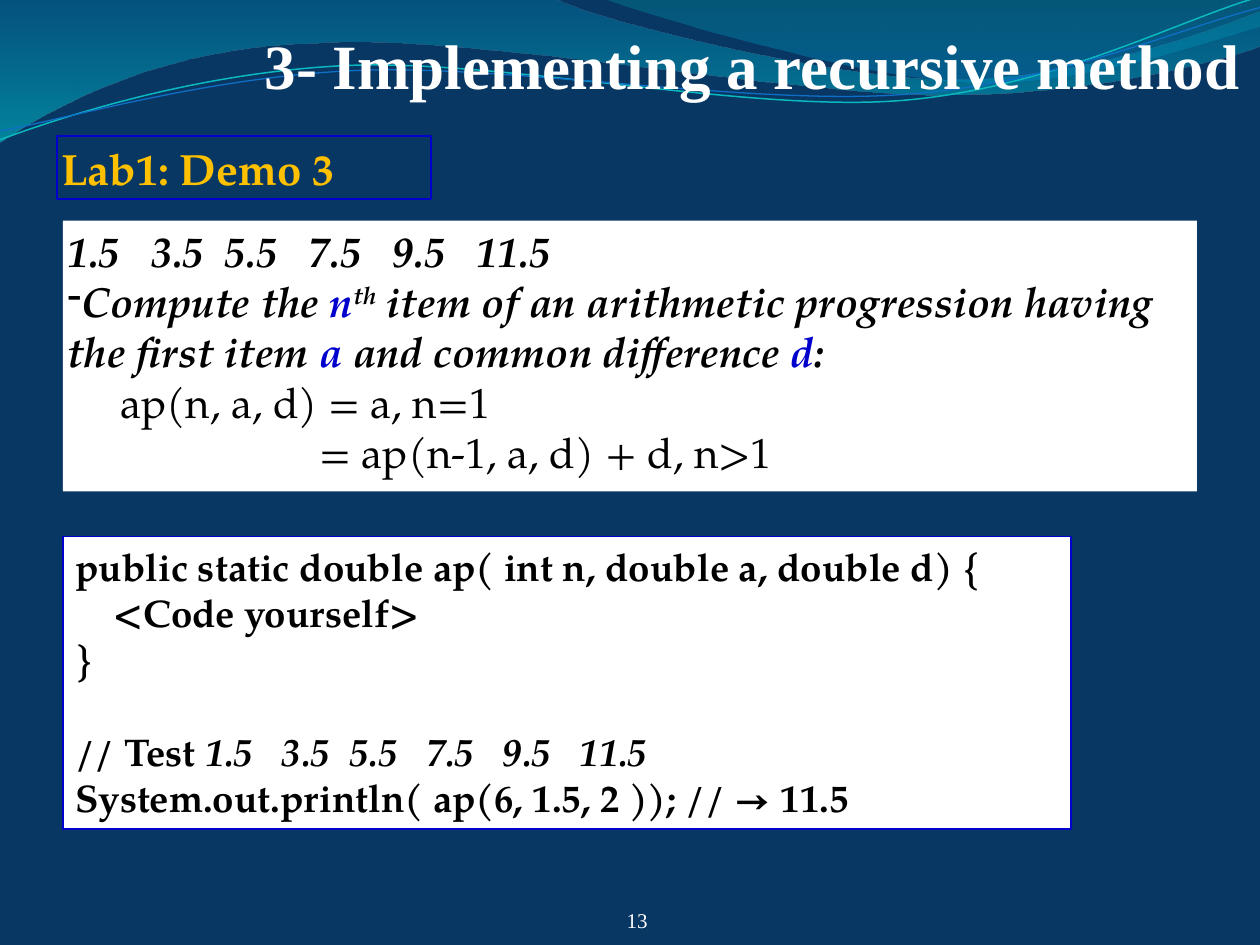
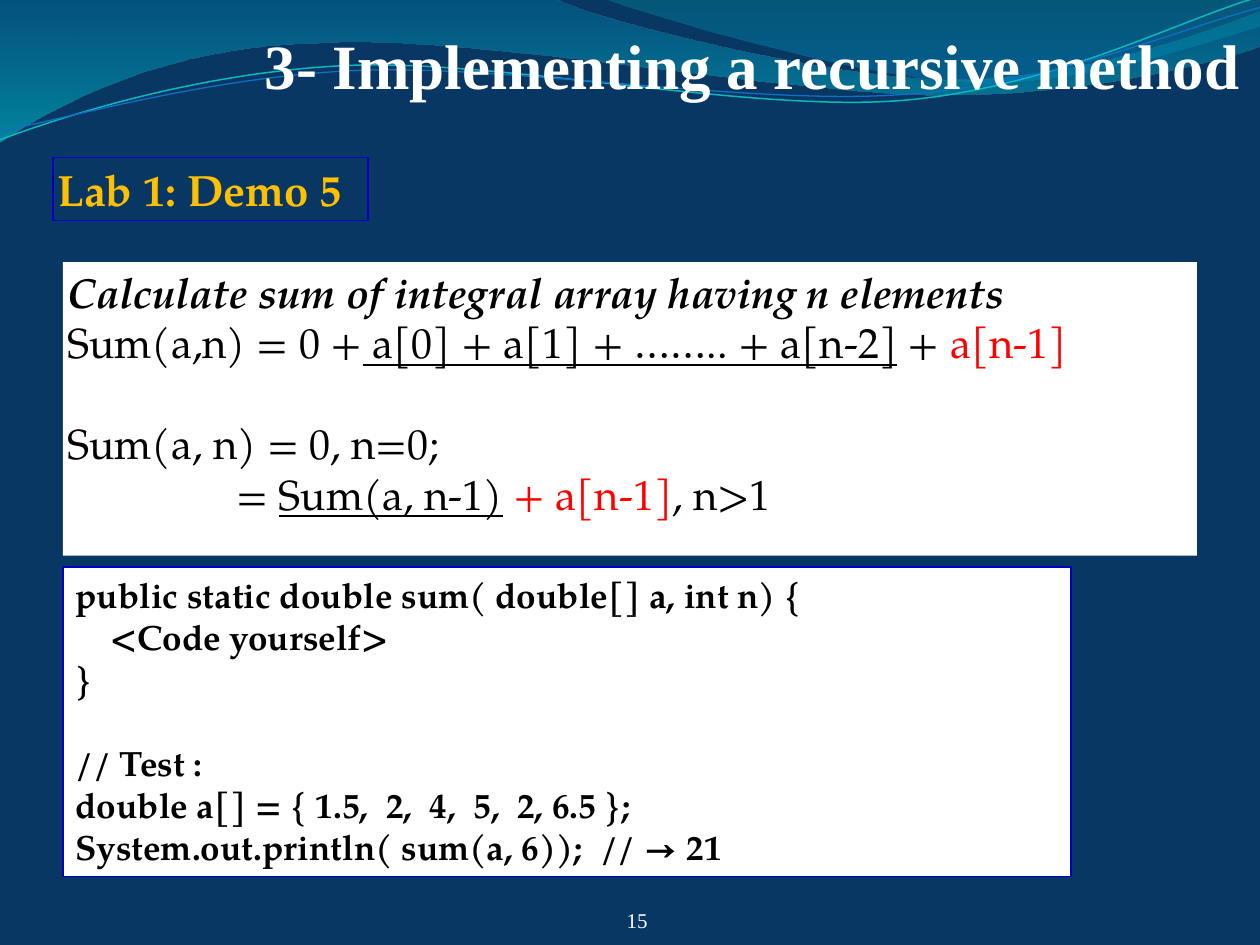
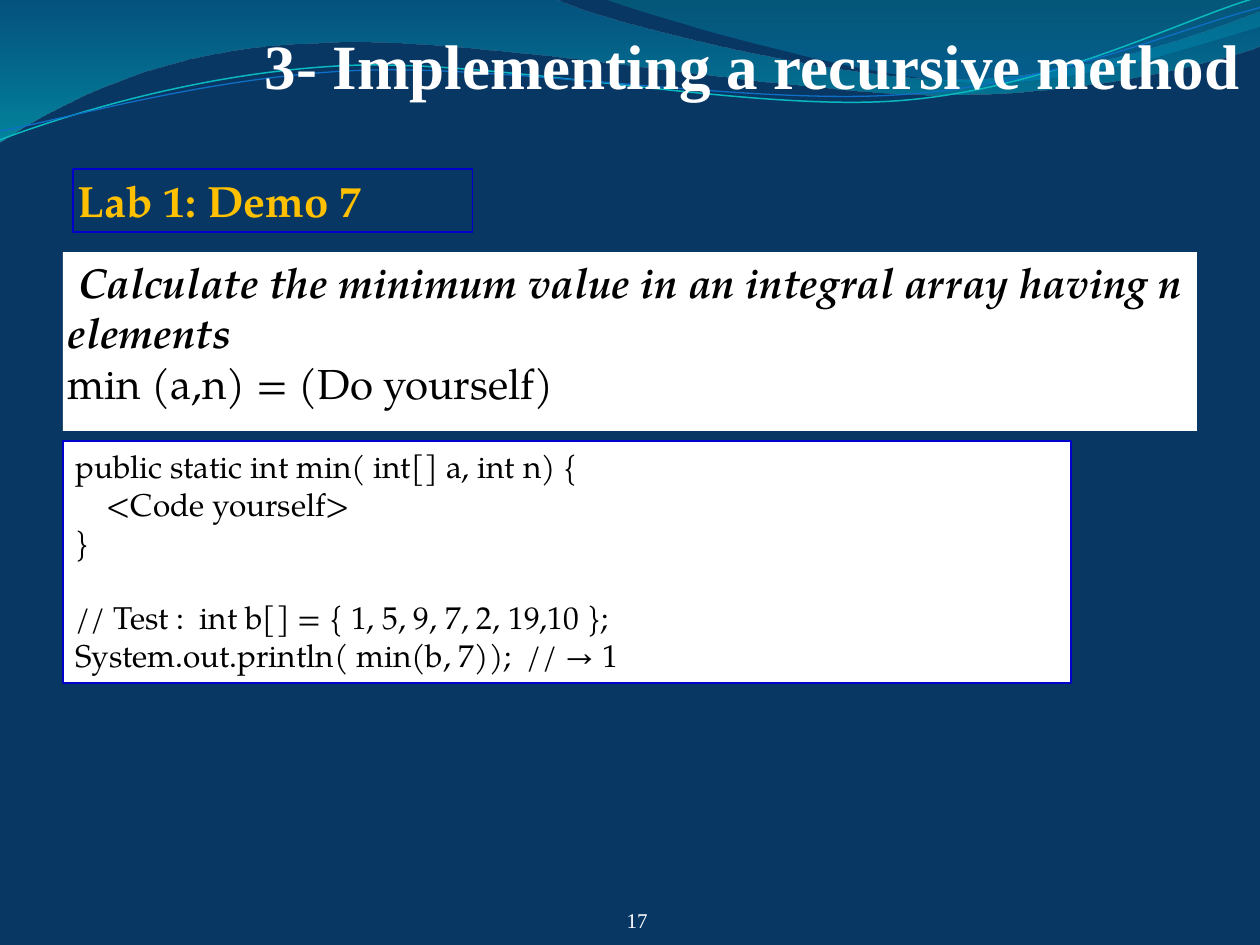
from dataclasses import dataclass
from typing import Any

import pptx
import pptx.dml.color
import pptx.enum.dml
import pptx.enum.shapes
import pptx.enum.text
import pptx.oxml
import pptx.oxml.ns
import pptx.util

# The page is a grid of 100 columns by 75 rows; one cell is a tenth of an inch.
COLUMNS, ROWS = 100, 75
CELL = pptx.util.Inches(0.1)

NAVY, WHITE, BLACK = "083763", "FFFFFF", "000000"
BLUE, GOLD, RED = "0000CC", "FFC000", "FF0000"
BODY_FONT, TITLE_FONT = "TeX Gyre Pagella", "Times New Roman"
TITLE = "3- Implementing a recursive method"
LINE_HEIGHT = 1.2

ALIGN = pptx.enum.text.PP_ALIGN
ANCHOR = pptx.enum.text.MSO_ANCHOR
Point = tuple[float, float]


@dataclass(frozen=True)
class Frame:
    """A place on the grid, in columns and rows."""
    left: float
    top: float
    width: float
    height: float


@dataclass(frozen=True)
class Span:
    """Text of one look; spread is extra room after each letter, in points."""
    text: str
    color: str = ""
    italic: bool = False
    underline: bool = False
    raised: bool = False
    spread: int = 0


@dataclass(frozen=True)
class Line:
    """One paragraph; indents are in columns, gap is in lines."""
    spans: tuple[Span, ...]
    bold: bool = False
    italic: bool = False
    indent: float = 0
    first_indent: float = 0
    gap: float = 0
    bullet: str = ""


@dataclass(frozen=True)
class Style:
    size: float
    color: str
    font: str = BODY_FONT
    fill: str = ""
    border: str = ""
    border_width: float = 0.75
    insets: tuple[float, float, float, float] = (0.36, 0.36, 0.36, 0.36)
    anchor: Any = ANCHOR.TOP
    align: Any = ALIGN.LEFT


@dataclass(frozen=True)
class Band:
    """A filled wave: straight edges and curves, each curve given by three points."""
    start: Point
    pieces: tuple[tuple[Point, ...], ...]
    stops: tuple[tuple[float, str, int], ...]


@dataclass(frozen=True)
class Strand:
    """A thin wavy line."""
    start: Point
    pieces: tuple[tuple[Point, ...], ...]
    color: str
    width: float


@dataclass(frozen=True)
class Demo:
    number: int
    label: str
    label_frame: Frame
    task: tuple[Line, ...]
    task_frame: Frame
    code: tuple[Line, ...]
    code_frame: Frame
    code_size: int


BANDS = (
    Band((0, 0), (
        ((44, -0.1),),
        ((47.6, 1.7), (66.4, 6.3), (75.8, 6.3)),
        ((85.3, 6.3), (95.8, 2.6), (100, 0.9)),
        ((100.1, 3.6),),
        ((98.3, 4.4), (87, 7.6), (74.6, 7.5)),
        ((62.2, 7.5), (38.2, 2.8), (25.7, 3.4)),
        ((12.9, 3.6), (4.6, 8.3), (-0.1, 11.3)),
    ), ((0, "0074A1", 45), (1, "00C6CF", 55))),
    Band((47.9, -0.1), (
        ((50.9, 1.1), (68.2, 6.2), (76.9, 6.5)),
        ((85.6, 6.9), (96.1, 3.2), (100, 2.1)),
        ((100, 0),),
    ), ((0, "00A1A9", 30), (0.8, "008BBF", 45))),
)
STRANDS = (
    Strand((0, 11.1), (
        ((4.8, 9.3), (15.8, 5.7), (27.7, 5.2)),
        ((39.5, 4.7), (59.3, 8.9), (71.3, 8)),
        ((83.3, 7.1), (93.8, 1.5), (99.8, -0.2)),
    ), "0AB8BF", 0.85),
    Strand((0, 10.4), (
        ((4.7, 9.6), (16.4, 6.1), (28.3, 5.6)),
        ((40.3, 5.1), (59.7, 8.4), (71.7, 7.5)),
        ((83.6, 6.7), (94.1, 2.1), (100, 0.6)),
    ), "0F6FC6", 0.75),
)

TITLE_FRAME = Frame(5, 0.8, 93.4, 7.3)
NUMBER_FRAME = Frame(48.6, 71.1, 2.8, 2.9)
TITLE_STYLE = Style(36, WHITE, TITLE_FONT, insets=(0, 0.4, 0, 0),
                    anchor=ANCHOR.BOTTOM, align=ALIGN.RIGHT)
NUMBER_STYLE = Style(12, WHITE, TITLE_FONT, insets=(0, 0, 0, 0),
                     anchor=ANCHOR.BOTTOM, align=ALIGN.RIGHT)
LABEL_STYLE = Style(25, GOLD, border=BLUE, border_width=1, anchor=ANCHOR.MIDDLE)
TASK_STYLE = Style(24, BLACK, fill=WHITE)


def plain(text: str, **options: Any) -> Line:
    return Line((Span(text),), **options)


def stated(*spans: Span, **options: Any) -> Line:
    """The bold italic wording of a task."""
    return Line(spans, bold=True, italic=True, **options)


def progression(first: str, *items: tuple[int, str]) -> Line:
    """Numbers in a row, each after a space widened by some points."""
    spans = [Span(first)]
    for spread, number in items:
        spans += [Span(" ", spread=spread), Span(number)]
    return stated(*spans)


def code_lines(signature: str, *tests: Line, bold: bool = True) -> tuple[Line, ...]:
    """A method left open, then its test."""
    method = (signature, "    <Code yourself>", "}")
    return tuple(plain(text, bold=bold) for text in method) + tests


DEMOS = (
    Demo(
        13, "Lab1: Demo 3", Frame(4.5, 10.8, 29.7, 5),
        (
            progression("1.5", (12, "3.5"), (6, "5.5"), (12, "7.5"),
                        (12, "9.5"), (12, "11.5")),
            stated(Span("Compute the "), Span("n", BLUE), Span("th", raised=True),
                   Span(" item of an arithmetic progression having the first item "),
                   Span("a", BLUE), Span(" and common difference "),
                   Span("d", BLUE), Span(":"), bullet="-"),
            plain("ap(n, a, d) = a, n=1", indent=4.2),
            plain("= ap(n-1, a, d) + d, n>1", indent=20),
        ),
        Frame(5, 17.5, 90, 21.5),
        code_lines(
            "public static double ap( int n, double a, double d) {",
            Line((Span("// Test "),
                  Span("1.5   3.5  5.5   7.5   9.5   11.5", italic=True)),
                 bold=True, gap=1),
            plain("System.out.println( ap(6, 1.5, 2 )); // → 11.5", bold=True),
        ),
        Frame(5, 42.6, 80, 23.2), 22,
    ),
    Demo(
        15, "Lab 1: Demo 5", Frame(4.2, 12.5, 25, 5),
        (
            stated(Span("Calculate sum of integral array having n elements")),
            Line((Span("Sum(a,n) = 0 +"),
                  Span(" a[0] + a[1] + …….. + a[n-2]", underline=True),
                  Span(" + "), Span("a[n-1]", RED))),
            plain("Sum(a, n) = 0, n=0;", gap=1),
            Line((Span("= "), Span("Sum(a, n-1)", underline=True), Span(" "),
                  Span("+ a[n-1]", RED), Span(", n>1")), indent=13.4),
        ),
        Frame(5, 20.8, 90, 23.3),
        code_lines(
            "public static double sum( double[] a, int n) {",
            plain("// Test :", bold=True, gap=1),
            plain("double a[] = { 1.5,  2,  4,  5,  2, 6.5 };", bold=True),
            plain("System.out.println( sum(a, 6));  // → 21", bold=True),
        ),
        Frame(5, 45, 80, 24.6), 20,
    ),
    Demo(
        17, "Lab 1: Demo 7", Frame(5.8, 13.4, 31.7, 5),
        (
            stated(Span("Calculate the minimum value in an integral array "
                        "having n elements"), first_indent=0.84),
            plain("min (a,n) = (Do yourself)"),
        ),
        Frame(5, 20, 90, 14.2),
        code_lines(
            "public static int min( int[] a, int n) {",
            plain("// Test :  int b[] = { 1, 5, 9, 7, 2, 19,10 };", gap=1),
            plain("System.out.println( min(b, 7));  // → 1"),
            bold=False,
        ),
        Frame(5, 35, 80, 19.2), 18,
    ),
)


def cells(count: float) -> int:
    return round(count * CELL)


def rgb(code: str) -> pptx.dml.color.RGBColor:
    return pptx.dml.color.RGBColor.from_string(code)


def new_element(tag: str, **attributes: Any) -> Any:
    element = pptx.oxml.parse_xml(f"<{tag} {pptx.oxml.ns.nsdecls('a')}/>")
    for name, value in attributes.items():
        element.set(name, str(value))
    return element


def add_outline(page: Any, wave: Band | Strand, close: bool) -> Any:
    """Draw straight edges through all points, then bend each three into a curve."""
    points = [(cells(x), cells(y)) for piece in wave.pieces for x, y in piece]
    builder = page.shapes.build_freeform(*map(cells, wave.start))
    builder.add_line_segments(points, close=close)
    outline = builder.convert_to_shape()
    outline.shadow.inherit = False
    edges = iter(list(outline._element.iter(pptx.oxml.ns.qn("a:lnTo"))))
    for piece in wave.pieces:
        group = [next(edges) for _ in piece]
        if len(group) == 3:
            curve = new_element("a:cubicBezTo")
            group[0].addprevious(curve)
            for edge in group:
                curve.append(edge[0])
                edge.getparent().remove(edge)
    return outline


def add_band(page: Any, band: Band) -> None:
    outline = add_outline(page, band, close=True)
    outline.line.fill.background()
    outline.fill.gradient()
    outline.fill.gradient_angle = 270
    for stop, (position, color, _) in zip(outline.fill.gradient_stops, band.stops):
        stop.position = position
        stop.color.rgb = rgb(color)
    colors = list(outline._element.iter(pptx.oxml.ns.qn("a:srgbClr")))
    for color, (_, _, opacity) in zip(colors, band.stops):
        color.append(new_element("a:alpha", val=opacity * 1000))


def add_strand(page: Any, strand: Strand) -> None:
    outline = add_outline(page, strand, close=False)
    outline.fill.background()
    outline.line.color.rgb = rgb(strand.color)
    outline.line.width = pptx.util.Pt(strand.width)


def write_line(para: Any, line: Line, style: Style) -> None:
    para.alignment = style.align
    properties = para._p.get_or_add_pPr()
    properties.set("marL", str(cells(line.indent)))
    properties.set("indent", str(cells(line.first_indent)))
    if line.bullet:
        properties.append(new_element("a:buFontTx"))
        properties.append(new_element("a:buChar", char=line.bullet))
    if line.gap:
        para.space_before = pptx.util.Pt(line.gap * LINE_HEIGHT * style.size)
    for part in line.spans:
        span = para.add_run()
        span.text = part.text
        span.font.name = style.font
        span.font.size = pptx.util.Pt(style.size)
        span.font.color.rgb = rgb(part.color or style.color)
        span.font.bold = line.bold
        span.font.italic = line.italic or part.italic
        span.font.underline = part.underline
        if part.raised:
            span._r.get_or_add_rPr().set("baseline", "30000")
        if part.spread:
            span._r.get_or_add_rPr().set("spc", str(part.spread * 100))


def add_box(page: Any, frame: Frame, lines: tuple[Line, ...], style: Style) -> None:
    place = [cells(n) for n in (frame.left, frame.top, frame.width, frame.height)]
    if style.fill or style.border:
        box = page.shapes.add_shape(pptx.enum.shapes.MSO_SHAPE.RECTANGLE, *place)
        box.shadow.inherit = False
    else:
        box = page.shapes.add_textbox(*place)
    if style.fill:
        box.fill.solid()
        box.fill.fore_color.rgb = rgb(style.fill)
    else:
        box.fill.background()
    if style.border:
        box.line.color.rgb = rgb(style.border)
        box.line.width = pptx.util.Pt(style.border_width)
    else:
        box.line.fill.background()
    text = box.text_frame
    text.word_wrap = True
    text.vertical_anchor = style.anchor
    (text.margin_left, text.margin_top,
     text.margin_right, text.margin_bottom) = map(cells, style.insets)
    for index, line in enumerate(lines):
        para = text.add_paragraph() if index else text.paragraphs[0]
        write_line(para, line, style)


def add_demo(deck: Any, demo: Demo) -> None:
    page = deck.slides.add_slide(deck.slide_layouts[6])
    page.background.fill.solid()
    page.background.fill.fore_color.rgb = rgb(NAVY)
    for band in BANDS:
        add_band(page, band)
    for strand in STRANDS:
        add_strand(page, strand)
    code_style = Style(demo.code_size, BLACK, fill=WHITE, border=BLUE,
                       insets=(1, 0.5, 1, 0.5))
    add_box(page, demo.label_frame, (plain(demo.label, bold=True),), LABEL_STYLE)
    add_box(page, demo.task_frame, demo.task, TASK_STYLE)
    add_box(page, demo.code_frame, demo.code, code_style)
    add_box(page, NUMBER_FRAME, (plain(str(demo.number)),), NUMBER_STYLE)
    add_box(page, TITLE_FRAME, (plain(TITLE, bold=True),), TITLE_STYLE)


def main() -> None:
    deck = pptx.Presentation()
    deck.slide_width = cells(COLUMNS)
    deck.slide_height = cells(ROWS)
    for demo in DEMOS:
        add_demo(deck, demo)
    deck.save("out.pptx")


if __name__ == "__main__":
    main()
